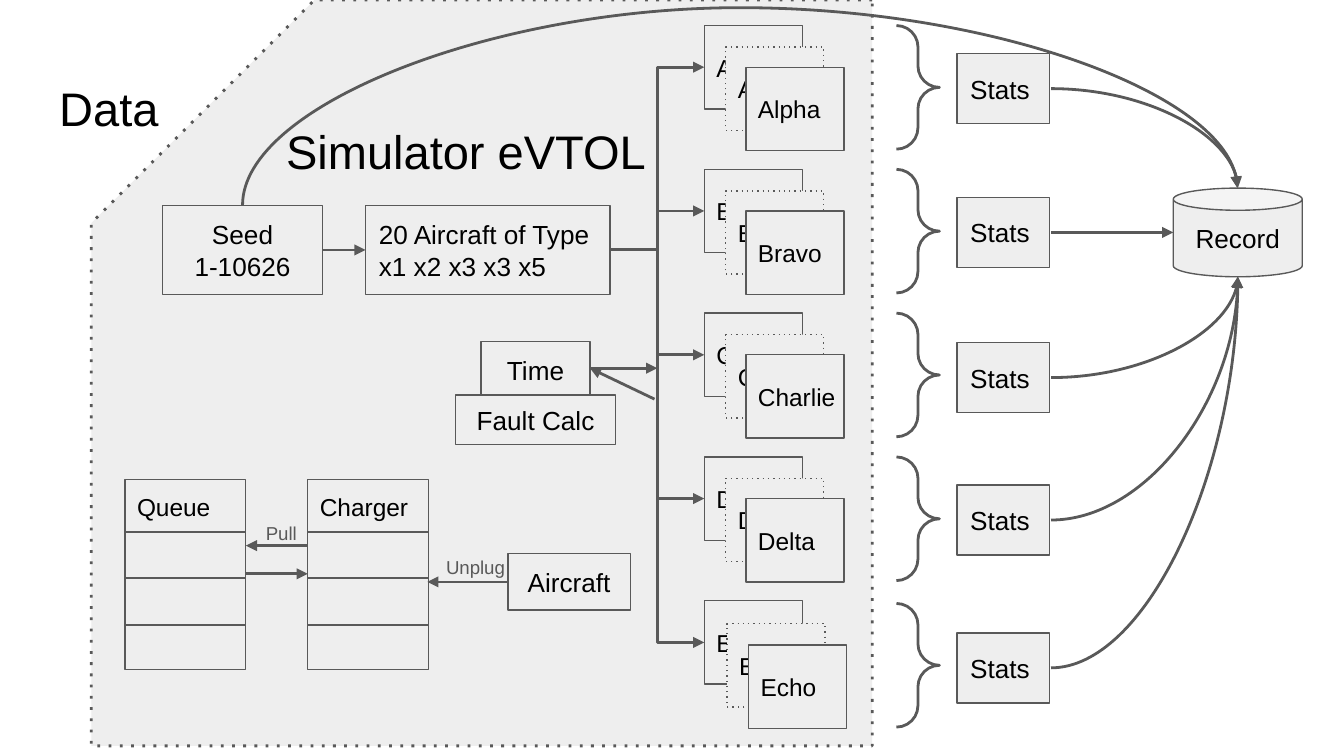
from dataclasses import dataclass
from typing import Any

from lxml.etree import SubElement
from pptx import Presentation
from pptx.dml.color import RGBColor
from pptx.enum.shapes import MSO_CONNECTOR, MSO_SHAPE
from pptx.enum.text import MSO_ANCHOR, PP_ALIGN
from pptx.oxml.ns import qn
from pptx.util import Inches, Pt

COLORS = {"ink": "000000", "stroke": "595959", "panel": "EEEEEE"}
FONT = "Arial"
SLIDE_WIDTH = Inches(10)
SLIDE_HEIGHT = SLIDE_WIDTH * 9 // 16
ROW_TOP, ROW_STEP = 0.19, 1.07
CARD_LEFT, CARD_WIDTH, CARD_HEIGHT = 5.24, 0.73, 0.62
TRUNK_Y = 1.86
RECORD_X, RECORD_TOP, RECORD_BOTTOM = 9.21, 1.4, 2.06


@dataclass(frozen=True)
class Box:
    left: float
    top: float
    width: float
    height: float

    def emu(self) -> list[int]:
        return [Inches(v) for v in (self.left, self.top, self.width, self.height)]


@dataclass(frozen=True)
class Label:
    lines: tuple[str, ...]
    size: float = 14
    align: Any = PP_ALIGN.LEFT
    anchor: Any = MSO_ANCHOR.MIDDLE
    inset: float = 0.1
    right_inset: float = 0.1
    color: str = "ink"


@dataclass(frozen=True)
class Fleet:
    name: str
    brace_top: float
    stats_top: float
    right_inset: float = 0
    offsets: tuple[float, ...] = (0, 0.16, 0.31)


@dataclass(frozen=True)
class Rack:
    name: str
    left: float


FLEETS = [
    Fleet("Alpha", 0.19, 0.4, right_inset=0.09),
    Fleet("Bravo", 1.26, 1.47, right_inset=0.09),
    Fleet("Charlie", 2.33, 2.55),
    Fleet("Delta", 3.4, 3.61),
    Fleet("Echo", 4.49, 4.71, offsets=(0, 0.17, 0.33)),
]
RACKS = [Rack("Queue", 0.93), Rack("Charger", 2.29)]
STEPS = [
    (("Seed", "1-10626"), Box(1.21, 1.53, 1.19, 0.66), PP_ALIGN.CENTER),
    (("20 Aircraft of Type", "x1 x2 x3 x3 x5"), Box(2.72, 1.53, 1.82, 0.66), PP_ALIGN.LEFT),
    (("Time",), Box(3.58, 2.54, 0.81, 0.42), PP_ALIGN.CENTER),
    (("Fault Calc",), Box(3.39, 2.94, 1.19, 0.37), PP_ALIGN.CENTER),
    (("Aircraft",), Box(3.78, 4.12, 0.91, 0.42), PP_ALIGN.CENTER),
]


def rgb(name: str) -> RGBColor:
    return RGBColor.from_string(COLORS[name])


def write(shape: Any, label: Label) -> None:
    frame = shape.text_frame
    frame.word_wrap = True
    frame.vertical_anchor = label.anchor
    frame.margin_left = frame.margin_top = frame.margin_bottom = Inches(label.inset)
    frame.margin_right = Inches(label.right_inset)
    for index, line in enumerate(label.lines):
        paragraph = frame.add_paragraph() if index else frame.paragraphs[0]
        paragraph.alignment = label.align
        run = paragraph.add_run()
        run.text = line
        run.font.name = FONT
        run.font.size = Pt(label.size)
        run.font.color.rgb = rgb(label.color)


def stroke(item: Any, weight: float, dotted: bool = False) -> None:
    item.line.color.rgb = rgb("stroke")
    item.line.width = Pt(weight)
    if dotted:
        SubElement(item.get_or_add_ln(), qn("a:prstDash"), val="dot")


def draw_shape(shapes: Any, kind: Any, box: Box, weight: float = 0.75, label: Label | None = None,
               dotted: bool = False, filled: bool = True) -> Any:
    shape = shapes.add_shape(kind, *box.emu())
    shape.shadow.inherit = False
    if filled:
        shape.fill.solid()
        shape.fill.fore_color.rgb = rgb("panel")
    else:
        shape.fill.background()
    stroke(shape, weight, dotted)
    if label:
        write(shape, label)
    return shape


def draw_text(shapes: Any, box: Box, label: Label) -> None:
    write(shapes.add_textbox(*box.emu()), label)


def draw_link(shapes: Any, start: tuple[float, float], end: tuple[float, float],
              kind: Any = MSO_CONNECTOR.STRAIGHT, weight: float = 1.5, arrow: bool = True) -> Any:
    link = shapes.add_connector(kind, *[Inches(v) for v in (*start, *end)])
    stroke(link, weight)
    if arrow:
        SubElement(link.get_or_add_ln(), qn("a:tailEnd"), type="triangle")
    SubElement(link._element.spPr, qn("a:effectLst"))
    return link


def draw_seed_arc(shapes: Any) -> None:
    arc = draw_link(shapes, (5.44, -2.24), (5.57, 5.16), MSO_CONNECTOR.CURVE)
    properties = arc._element.spPr
    properties.find(qn("a:xfrm")).set("rot", str(270 * 60000))
    guides = properties.find(qn("a:prstGeom")).get_or_add_avLst()
    SubElement(guides, qn("a:gd"), name="adj1", fmla="val 1130000")


def draw_stats_link(shapes: Any, y: float) -> None:
    start = (7.82, y)
    if RECORD_TOP < y < RECORD_BOTTOM:
        draw_link(shapes, start, (8.73, y), MSO_CONNECTOR.CURVE)
        return
    end = (RECORD_X, RECORD_TOP if y < RECORD_TOP else RECORD_BOTTOM)
    link = draw_link(shapes, start, end, MSO_CONNECTOR.CURVE)
    link._element.spPr.find(qn("a:prstGeom")).set("prst", "curvedConnector2")


def draw_fleet(shapes: Any, fleet: Fleet, top: float) -> None:
    label = Label((fleet.name,), 13.1, inset=0.09, right_inset=fleet.right_inset)
    for depth, offset in enumerate(fleet.offsets):
        card = Box(CARD_LEFT + offset, top + offset, CARD_WIDTH, CARD_HEIGHT)
        draw_shape(shapes, MSO_SHAPE.RECTANGLE, card, 0.7, label, dotted=depth == 1)
    draw_link(shapes, (4.54, TRUNK_Y), (CARD_LEFT, top + CARD_HEIGHT / 2), MSO_CONNECTOR.ELBOW)
    brace = draw_shape(shapes, MSO_SHAPE.RIGHT_BRACE, Box(6.67, fleet.brace_top, 0.32, 0.92),
                       1.5, filled=False)
    brace.adjustments[0] = 0.5
    draw_shape(shapes, MSO_SHAPE.RECTANGLE, Box(7.12, fleet.stats_top, 0.69, 0.52),
               label=Label(("Stats",)))
    draw_stats_link(shapes, fleet.stats_top + 0.26)


def draw_rack(shapes: Any, rack: Rack) -> None:
    members = shapes.add_group_shape().shapes
    label = Label((rack.name,), 13.1, anchor=MSO_ANCHOR.TOP, inset=0.09, right_inset=0.09)
    draw_shape(members, MSO_SHAPE.RECTANGLE, Box(rack.left, 3.57, 0.9, 1.41), 0.7, label)
    for y in (3.96, 4.3, 4.65):
        draw_link(members, (rack.left, y), (rack.left + 0.9, y), weight=0.75, arrow=False)


def draw_action(shapes: Any, name: str, box: Box, start: tuple[float, float],
                end: tuple[float, float]) -> None:
    members = shapes.add_group_shape().shapes
    draw_link(members, start, end)
    draw_text(members, box, Label((name,), 10, anchor=MSO_ANCHOR.TOP, color="stroke"))


def main() -> None:
    deck = Presentation()
    deck.slide_width, deck.slide_height = SLIDE_WIDTH, SLIDE_HEIGHT
    slide = deck.slides.add_slide(deck.slide_layouts[5])
    shapes = slide.shapes

    region = draw_shape(shapes, MSO_SHAPE.SNIP_1_RECTANGLE, Box(0.68, 0, 5.81, 5.55), 1.5, dotted=True)
    region.adjustments[0] = 0.299
    region._element.spPr.find(qn("a:xfrm")).set("flipH", "1")
    title = shapes.title
    title.left, title.top, title.width, title.height = Box(0.34, 0.49, 1.07, 0.63).emu()
    write(title, Label(("Data",), 25.2, anchor=MSO_ANCHOR.TOP))
    region._element.addnext(title._element)
    draw_text(shapes, Box(2.03, 0.81, 2.99, 0.63),
              Label(("Simulator eVTOL",), 25.2, anchor=MSO_ANCHOR.TOP))

    draw_seed_arc(shapes)
    for lines, box, align in STEPS:
        draw_shape(shapes, MSO_SHAPE.RECTANGLE, box, label=Label(lines, align=align))
    for row, fleet in enumerate(FLEETS):
        draw_fleet(shapes, fleet, ROW_TOP + row * ROW_STEP)
    draw_shape(shapes, MSO_SHAPE.CAN, Box(8.73, RECORD_TOP, 0.96, RECORD_BOTTOM - RECORD_TOP),
               label=Label(("Record",), align=PP_ALIGN.CENTER))
    for rack in RACKS:
        draw_rack(shapes, rack)

    draw_link(shapes, (2.4, TRUNK_Y), (2.72, TRUNK_Y))
    draw_link(shapes, (4.39, 2.74), (4.89, 2.74))
    draw_link(shapes, (4.87, 2.97), (4.39, 2.74))
    draw_link(shapes, (1.83, 4.27), (2.29, 4.27))
    draw_action(shapes, "Pull", Box(1.88, 3.8, 0.46, 0.37), (2.29, 4.06), (1.83, 4.06))
    draw_action(shapes, "Unplug", Box(3.22, 4.05, 0.65, 0.37), (3.77, 4.33), (3.18, 4.33))

    deck.save("out.pptx")


if __name__ == "__main__":
    main()
